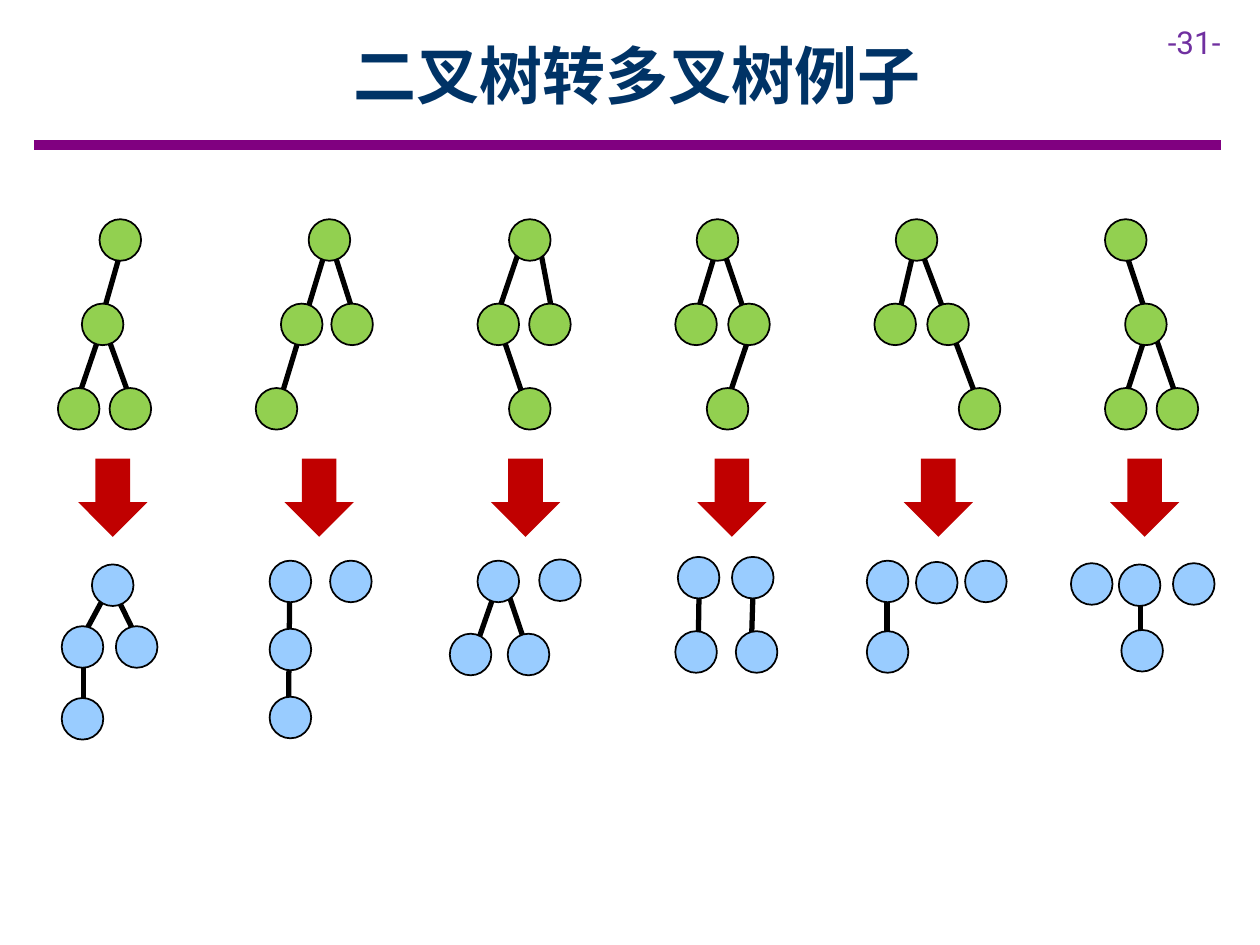
"""Build a slide of six binary trees converted to multiway forests."""
from lxml import etree
from pptx import Presentation
from pptx.dml.color import RGBColor
from pptx.enum import shapes, text
from pptx.oxml import ns
from pptx.util import Inches, Pt

TITLE = "二叉树转多叉树例子"
PAGE_NUMBER = "-31-"
PURPLE, BLACK, RED = "800080", "000000", "C00000"
GREEN, BLUE = "92D050", "99CCFF"
NODE = 0.33
LEVEL_TOP, LEVEL_STEP = 1.74, 0.67
ARROW_LEFT, ARROW_STEP = 0.62, 1.638

BINARY_TREES = [
    {"levels": [[0.79], [0.65], [0.46, 0.87]],
     "edges": [(0.96, 1.99, 0.84, 2.41), (0.79, 2.66, 0.62, 3.16), (0.84, 2.63, 1.04, 3.18)]},
    {"levels": [[2.45], [2.23, 2.63], [2.03]],
     "edges": [(2.58, 2, 2.21, 3.22), (2.65, 2, 2.8, 2.47)]},
    {"levels": [[4.04], [3.79, 4.2], [4.04]],
     "edges": [(4.12, 1.99, 3.95, 2.49), (4.29, 1.99, 4.37, 2.41), (3.99, 2.67, 4.16, 3.17)]},
    {"levels": [[5.53], [5.36, 5.78], [5.61]],
     "edges": [(5.68, 2, 5.53, 2.49), (5.76, 2.04, 5.9, 2.45), (5.95, 2.66, 5.78, 3.16)]},
    {"levels": [[7.11], [6.94, 7.36], [7.61]],
     "edges": [(7.25, 2, 7.13, 2.51), (7.33, 2.04, 7.76, 3.18)]},
    {"levels": [[8.77], [8.93], [8.77, 9.18]],
     "edges": [(8.93, 1.99, 9.07, 2.41), (9.09, 2.67, 8.93, 3.16), (9.17, 2.67, 9.32, 3.1)]},
]

FORESTS = [
    {"nodes": [(0.73, 4.48), (0.49, 4.97), (0.92, 4.97), (0.49, 5.54)],
     "edges": [(0.89, 4.62, 0.68, 5.01), (1.08, 5.05, 0.88, 4.64), (0.66, 5.15, 0.66, 5.7)]},
    {"nodes": [(2.14, 4.45), (2.14, 4.99), (2.14, 5.53), (2.62, 4.45)],
     "edges": [(2.3, 4.62, 2.29, 5.62)]},
    {"nodes": [(3.79, 4.45), (3.57, 5.03), (4.03, 5.03), (4.28, 4.44)],
     "edges": [(3.96, 4.61, 3.74, 5.24), (4, 4.61, 4.21, 5.23)]},
    {"nodes": [(5.38, 4.42), (5.36, 5.01), (5.81, 4.42), (5.84, 5.01)],
     "edges": [(5.55, 4.58, 5.54, 5.23), (5.98, 4.58, 5.96, 5.23)]},
    {"nodes": [(6.88, 4.45), (6.88, 5.01), (7.27, 4.46), (7.66, 4.45)],
     "edges": [(7.04, 4.66, 7.04, 5.16)]},
    {"nodes": [(8.5, 4.47), (8.88, 4.48), (8.9, 5), (9.31, 4.47)],
     "edges": [(9.05, 4.65, 9.05, 5.15)]},
]


def color(value):
    return RGBColor.from_string(value)


def add_line(parent, ends, line_color, width):
    line = parent.add_connector(shapes.MSO_CONNECTOR.STRAIGHT, *map(Inches, ends))
    line.line.color.rgb = color(line_color)
    line.line.width = Pt(width)
    etree.SubElement(line._element.spPr, ns.qn("a:effectLst"))


def add_filled(parent, preset, box, fill, outlined):
    shape = parent.add_shape(preset, *map(Inches, box))
    shape.shadow.inherit = False
    shape.fill.solid()
    shape.fill.fore_color.rgb = color(fill)
    if outlined:
        shape.line.color.rgb = color(BLACK)
        shape.line.width = Pt(1)
    else:
        shape.line.fill.background()


def add_label(parent, words, box, font_name, size, font_color, bold, align, anchor):
    frame = parent.add_textbox(*map(Inches, box)).text_frame
    frame.word_wrap = True
    frame.vertical_anchor = anchor
    frame.text = words
    paragraph = frame.paragraphs[0]
    paragraph.alignment = align
    run = paragraph.runs[0]
    run.font.name, run.font.size, run.font.bold = font_name, Pt(size), bold
    run.font.color.rgb = color(font_color)
    etree.SubElement(run.font._element, ns.qn("a:ea")).set("typeface", font_name)


def add_tree(parent, nodes, edges, fill):
    tree = parent.add_group_shape().shapes
    for ends in edges:
        add_line(tree, ends, BLACK, 3)
    for left, top in nodes:
        add_filled(tree, shapes.MSO_SHAPE.OVAL, (left, top, NODE, NODE), fill, True)


def main():
    deck = Presentation()
    deck.slide_width, deck.slide_height = Inches(10), Inches(7.5)
    canvas = deck.slides.add_slide(deck.slide_layouts[6]).shapes

    add_line(canvas, (0.27, 1.15, 9.69, 1.15), PURPLE, 6)
    add_label(canvas, PAGE_NUMBER, (9.17, 0.13, 0.83, 0.4), "Roboto", 18, "7030A0", False,
              text.PP_ALIGN.LEFT, text.MSO_ANCHOR.TOP)
    add_label(canvas, TITLE, (0.9, 0.09, 8.31, 1), "Noto Sans CJK SC", 36, "003366", True,
              text.PP_ALIGN.CENTER, text.MSO_ANCHOR.MIDDLE)

    for index, (binary, forest) in enumerate(zip(BINARY_TREES, FORESTS)):
        binary_nodes = [(left, LEVEL_TOP + depth * LEVEL_STEP)
                        for depth, level in enumerate(binary["levels"]) for left in level]
        add_tree(canvas, binary_nodes, binary["edges"], GREEN)
        arrow_box = (ARROW_LEFT + index * ARROW_STEP, 3.64, 0.55, 0.62)
        add_filled(canvas, shapes.MSO_SHAPE.DOWN_ARROW, arrow_box, RED, False)
        add_tree(canvas, forest["nodes"], forest["edges"], BLUE)

    deck.save("out.pptx")


if __name__ == "__main__":
    main()
